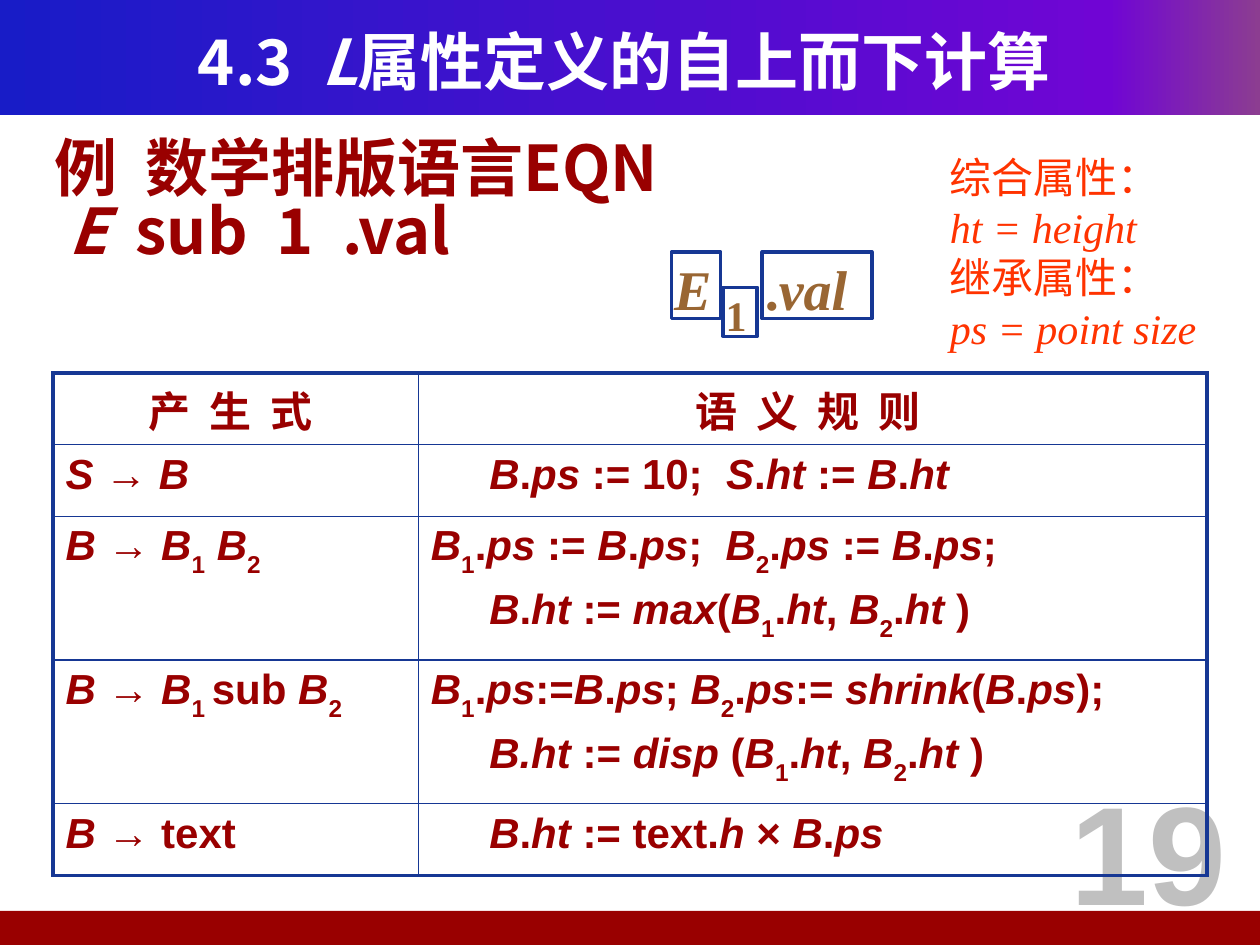
from copy import deepcopy
from itertools import groupby

from pptx import Presentation
from pptx import util as u
from pptx.dml.color import RGBColor
from pptx.enum import shapes, text
from pptx.oxml.ns import qn
from pptx.oxml.xmlchemy import OxmlElement

CJK = "Noto Sans CJK SC"
RED, BLUE, BROWN, ORANGE = "990000", "163794", "996633", "FF3300"
LEFT, CENTER, JUSTIFY = text.PP_ALIGN.LEFT, text.PP_ALIGN.CENTER, text.PP_ALIGN.JUSTIFY


def color(value):
    return RGBColor.from_string(value)


def styled_pieces(line):
    """Split a line into (text, italic, subscript): *italic*, _subscript_."""
    italic = subscript = False
    letters = []
    for letter in line:
        if letter == "*":
            italic = not italic
        elif letter == "_":
            subscript = not subscript
        else:
            letters.append((letter, italic, subscript))
    for style, group in groupby(letters, key=lambda item: item[1:]):
        yield "".join(item[0] for item in group), *style


class SlideBuilder:
    def __init__(self, presentation):
        self.slide = presentation.slides.add_slide(presentation.slide_layouts[1])

    def add_lines(self, frame, lines, size, font, ink, bold=True, align=LEFT, before=0):
        for index, line in enumerate(lines):
            paragraph = frame.paragraphs[0] if index == 0 else frame.add_paragraph()
            paragraph.alignment = align
            paragraph.space_before = u.Pt(before)
            for piece, italic, subscript in styled_pieces(line):
                run = paragraph.add_run()
                run.text = piece
                run.font.size, run.font.name = u.Pt(size), font
                run.font.bold, run.font.italic = bold, italic
                run.font.color.rgb = color(ink)
                properties = run.font._element
                if subscript:
                    properties.set("baseline", "-30000")
                east_asian = OxmlElement("a:ea")
                east_asian.set("typeface", CJK)
                properties.append(east_asian)

    def place(self, shape, box):
        shape.left, shape.top, shape.width, shape.height = map(u.Inches, box)

    def placeholder(self, index, box, lines, ink, **style):
        shape = self.slide.placeholders[index]
        self.place(shape, box)
        self.slide.shapes._spTree.append(shape._element)  # in front of the bars
        frame = shape.text_frame
        frame.auto_size = text.MSO_AUTO_SIZE.NONE
        self.add_lines(frame, lines, 36, CJK, ink, **style)
        return frame

    def rectangle(self, box, fill=None, line=None):
        shape = self.slide.shapes.add_shape(
            shapes.MSO_SHAPE.RECTANGLE, *map(u.Inches, box))
        shape.shadow.inherit = False
        if fill:
            shape.fill.solid()
            shape.fill.fore_color.rgb = color(fill)
        else:
            shape.fill.background()
        if line:
            shape.line.color.rgb = color(line)
            shape.line.width = u.Pt(2)
        else:
            shape.line.fill.background()
        return shape

    def gradient_bar(self, box, stops):
        shape = self.rectangle(box)
        shape.fill.gradient()
        shape.fill.gradient_angle = 0
        stop_list = next(shape._element.iter(qn("a:gsLst")))
        for _ in range(len(stops) - len(stop_list)):
            stop_list.append(deepcopy(stop_list[0]))
        for stop, (position, value) in zip(shape.fill.gradient_stops, stops):
            stop.position = position
            stop.color.rgb = color(value)

    def formula_box(self, box, line, size):
        frame = self.rectangle(box, line=BLUE).text_frame
        frame.margin_left = frame.margin_right = u.Inches(0.02)
        frame.margin_top = frame.margin_bottom = u.Inches(0.02)
        frame.vertical_anchor = text.MSO_ANCHOR.TOP
        self.add_lines(frame, [line], size, "Times New Roman", BROWN, align=JUSTIFY)

    def text_box(self, box, lines, size, font, ink, fill=None, **style):
        shape = self.slide.shapes.add_textbox(*map(u.Inches, box))
        if fill:
            shape.fill.solid()
            shape.fill.fore_color.rgb = color(fill)
        shape.text_frame.word_wrap = True
        self.add_lines(shape.text_frame, lines, size, font, ink, **style)

    def border(self, cell, side, width):
        line = OxmlElement(f"a:{side}")
        line.set("w", str(u.Pt(width)))
        fill = OxmlElement("a:solidFill")
        ink = OxmlElement("a:srgbClr")
        ink.set("val", BLUE)
        fill.append(ink)
        line.append(fill)
        cell._tc.get_or_add_tcPr().append(line)

    def table(self, box, widths, heights, rows):
        table = self.slide.shapes.add_table(
            len(rows), len(widths), *map(u.Inches, box)).table
        table.first_row = table.horz_banding = False
        for column, width in zip(table.columns, widths):
            column.width = u.Inches(width)
        last_row, last_column = len(rows) - 1, len(widths) - 1
        for r, (height, contents) in enumerate(zip(heights, rows)):
            table.rows[r].height = u.Inches(height)
            for c, lines in enumerate(contents):
                cell = table.cell(r, c)
                edges = {"lnL": c == 0, "lnR": c == last_column,
                         "lnT": r == 0, "lnB": r == last_row}
                for side, outer in edges.items():
                    self.border(cell, side, 2.25 if outer else 1)
                cell.fill.background()
                self.add_lines(cell.text_frame, lines, 24, "Arial" if r else CJK, RED,
                               align=LEFT if r else CENTER, before=4.8)


def main():
    presentation = Presentation()
    presentation.slide_width, presentation.slide_height = u.Inches(10), u.Inches(7.5)
    builder = SlideBuilder(presentation)

    # Bars at the top and bottom
    builder.gradient_bar((0, 0, 10, 0.91),
                         [(0, "181CC7"), (0.88, "7005D4"), (1, "8C3D91")])
    builder.rectangle((-0.04, 7.23, 10.04, 0.27), fill=RED)

    # Title and example
    builder.placeholder(0, (0.33, 0.17, 9.25, 0.62),
                        ["4.3  *L*属性定义的自上而下计算"], "FFFFFF", align=CENTER)
    body = builder.placeholder(1, (0.33, 1.07, 9.42, 5.83),
                               ["例  数学排版语言EQN", " *E*  sub  1  .val"], RED)
    body.word_wrap = False
    for paragraph in body.paragraphs:
        paragraph.line_spacing = 0.83
        properties = paragraph._p.get_or_add_pPr()
        properties.set("marL", str(u.Inches(0.38)))
        properties.set("indent", str(u.Inches(-0.38)))
        properties.append(OxmlElement("a:buNone"))

    # Page number, behind the table
    builder.text_box((8.23, 6.03, 1.77, 1.42), ["19"], 80, "Arial", "C0C0C0",
                     align=CENTER)

    # Productions and semantic rules
    indent = " " * 5
    builder.table((0.42, 2.96, 9.16, 3.99), [2.9, 6.26],
                  [0.57, 0.57, 1.14, 1.14, 0.57], [
        (["产  生  式 "], ["语  义  规  则 "]),
        (["*S *→* B*"],
         [indent + "*B*.*ps* := 10;  *S*.*ht* := *B*.*ht*"]),
        (["*B *→* B*_1_* B*_2_"],
         ["*B*_1_.*ps* := *B*.*ps*;  *B*_2_.*ps* := *B*.*ps*;",
          indent + "*B*.*ht* := *max*(*B*_1_.*ht*, *B*_2_.*ht *)"]),
        (["*B *→* B*_1 _sub* B*_2_"],
         ["*B*_1_.*ps*:=*B*.*ps*; *B*_2_.*ps*:= *shrink*(*B*.*ps*);",
          indent + "*B.ht* := *disp* (*B*_1_.*ht*, *B*_2_.*ht *)"]),
        (["*B *→ text"],
         [indent + "*B*.*ht* := text.*h *×* B*.*ps*"]),
    ])

    # Typeset boxes
    builder.formula_box((5.33, 2, 0.39, 0.53), "*E*", 32)
    builder.formula_box((5.74, 2.28, 0.27, 0.39), "1", 24)
    builder.formula_box((6.05, 2, 0.87, 0.53), ".*val*", 32)

    # Attribute legend
    builder.text_box((7.44, 1.15, 2.16, 1.7),
                     ["综合属性：", "*ht = height*", "继承属性：", "*ps = point size*"],
                     24, "Times New Roman", ORANGE, fill="FFFFFF", bold=False)

    presentation.save("out.pptx")


if __name__ == "__main__":
    main()
